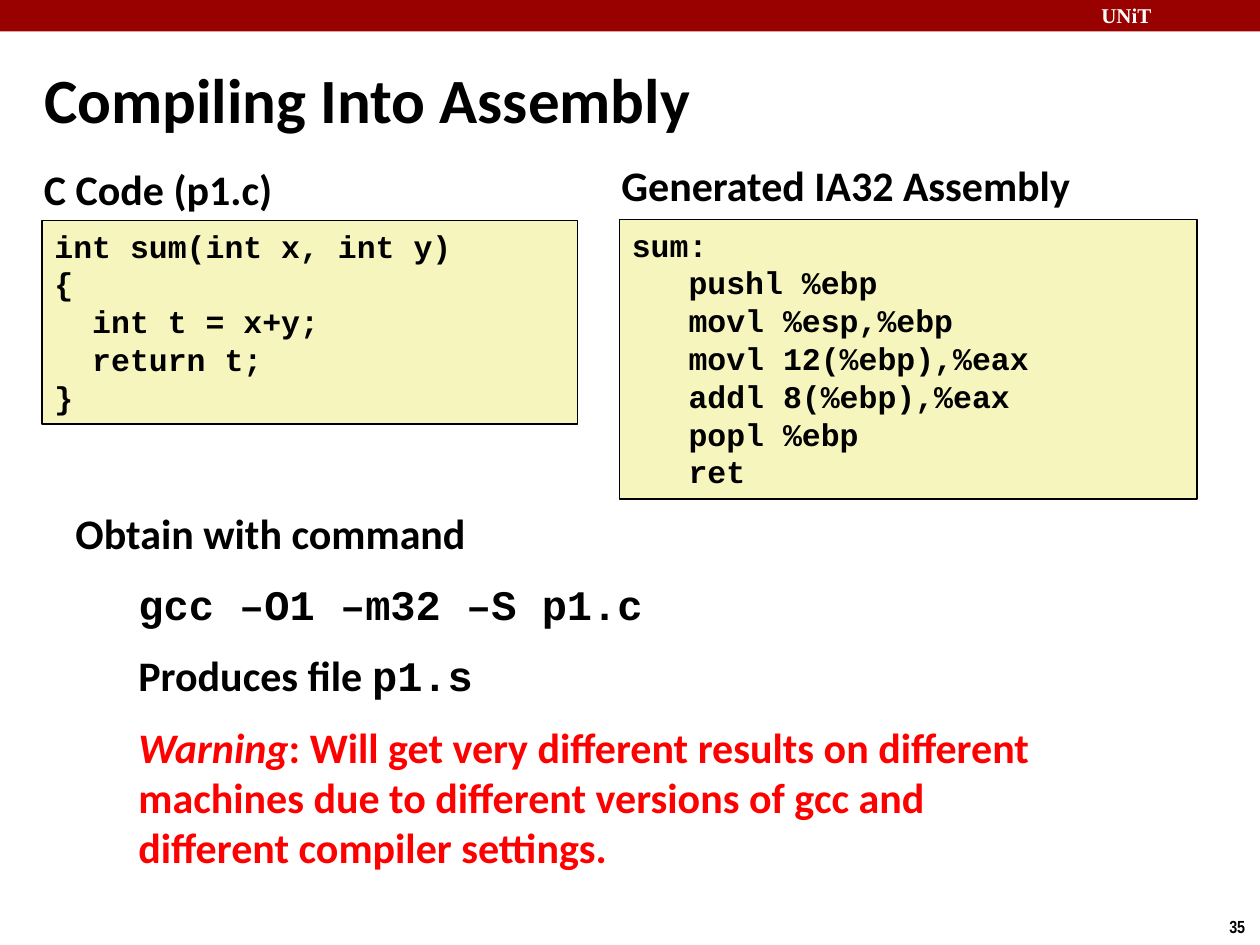
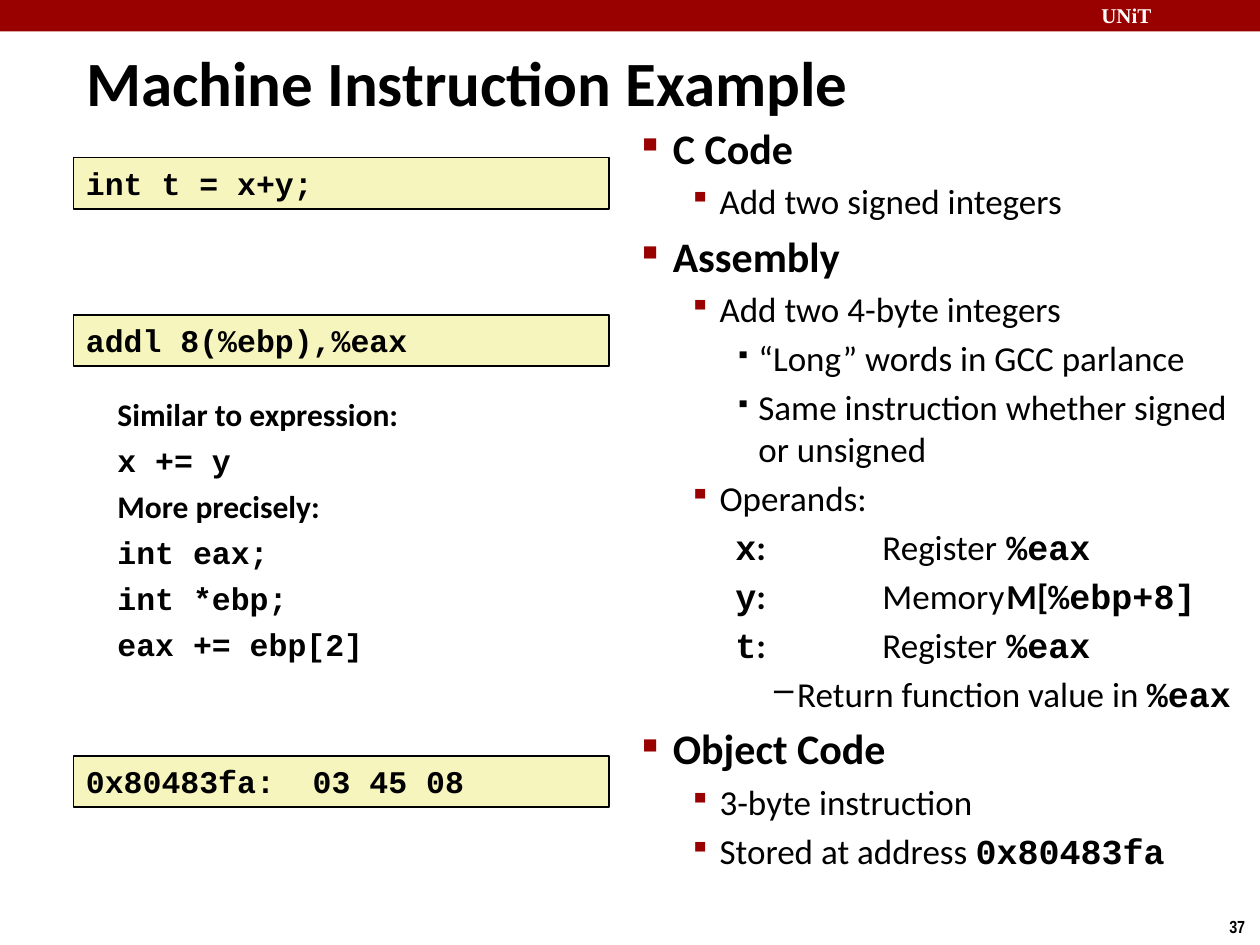
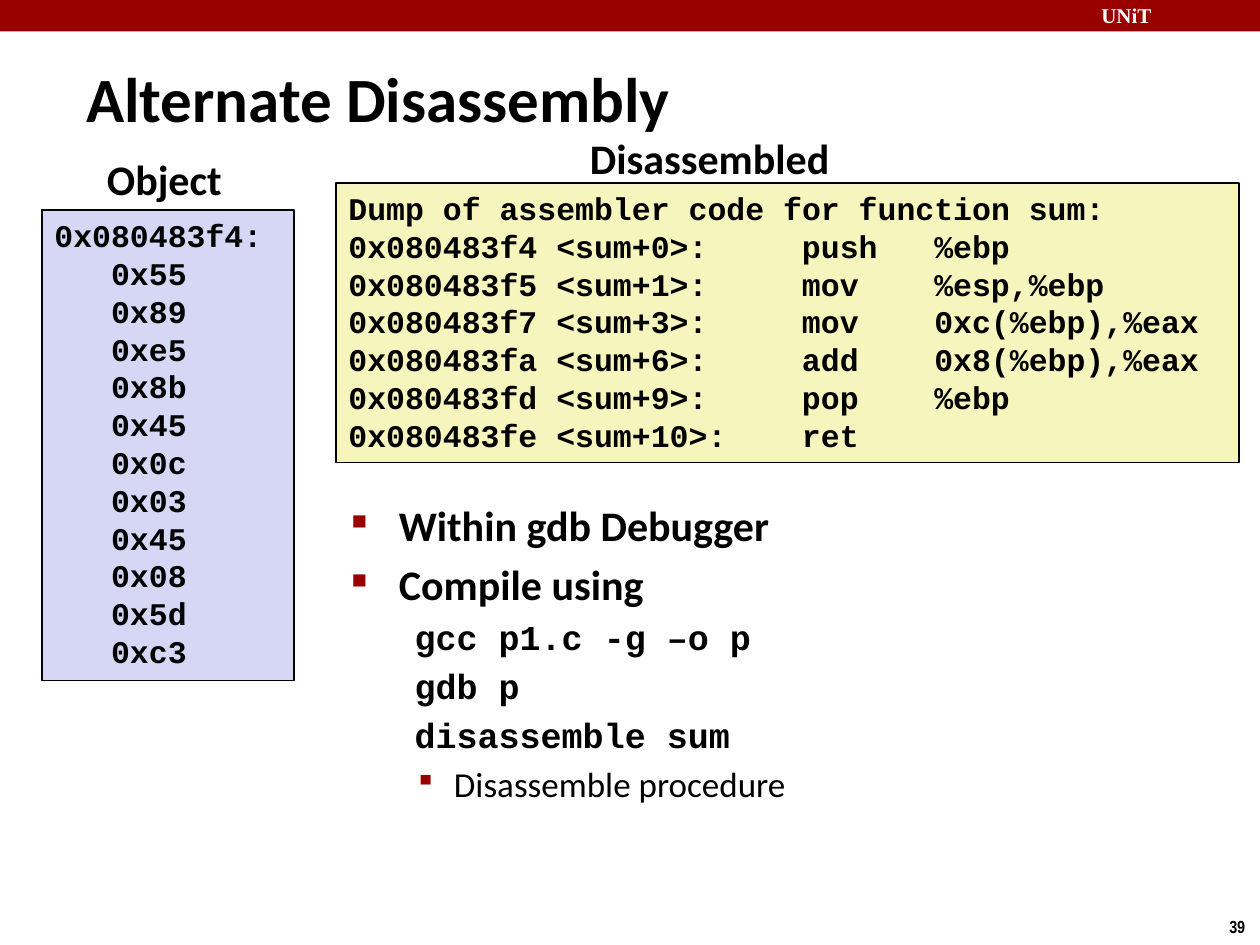
from lxml import etree
from pptx import Presentation
from pptx import util as u
from pptx.dml.color import RGBColor
from pptx.enum import shapes, text
from pptx.oxml import ns

COLORS = {"band": "990000", "ink": "000000", "paper": "FFFFFF", "warning": "FF0000",
          "code": "F6F5BD", "object": "D6D6F5"}
CELL = u.Inches(10) // 120
CHAR = 1.8
CALIBRI, COURIER = "Calibri", "Courier New"

BASE = {"name": CALIBRI, "size": 24, "bold": True, "color": "ink"}
PLAIN = {"bold": False}
BOLD = {"bold": True}
MONO = {"name": COURIER, "bold": True}
RED = {"color": "warning"}
CODE = {"font": {"size": 18, "name": COURIER}}

SQUARE = ("■", 50, "band")
SMALL = ("▪", 85, "band")
BLACK = ("▪", 60, "ink")
DASH = ("–", 100, "ink")

TOPIC = {"left": 2.9, "hang": 2.9, "bullet": SQUARE, "before": 0.2}
WIDE_TOPIC = {**TOPIC, "left": 4.5, "hang": 4.5}
POINT = {"font": {"size": 20, **PLAIN}, "left": 7.35, "hang": 2.9, "bullet": SMALL, "before": 0.2}
DETAIL = {**POINT, "left": 11.05, "hang": 2.2, "bullet": BLACK}
OPERAND = {**DETAIL, "bullet": None}
RESULT = {**DETAIL, "left": 14.75, "bullet": DASH}
STEP = {**POINT, "left": 9.75, "hang": 3.75}
COMMAND = {"font": {"size": 20, **MONO}, "left": 6, "before": 0.2}
LEAD = {"before": 0.5}
NESTED = {"before": 0.5, "left": 6}
SIMILAR = {"font": {"size": 18}, "before": 0.5}
TIGHT = {**SIMILAR, "spacing": 0.8}
TIGHT_CODE = {**TIGHT, "font": {"size": 18, **MONO}}


def grid(*cells):
    """Turn grid cells into lengths."""
    return [u.Emu(round(c * CELL)) for c in cells]


def rgb(key):
    """Look up a named colour."""
    return RGBColor.from_string(COLORS[key])


def set_font(font, values):
    """Apply a dict of format values to a font."""
    for key, value in values.items():
        if key == "color":
            font.color.rgb = rgb(value)
        else:
            setattr(font, key, u.Pt(value) if key == "size" else value)


def add_child(parent, tag, **attrs):
    """Append a drawing element with its attributes."""
    return etree.SubElement(parent, ns.qn("a:" + tag), {k: str(v) for k, v in attrs.items()})


def format_paragraph(p, style, size):
    """Set spacing, then either tab stops or indents and bullet."""
    p.alignment = text.PP_ALIGN.LEFT
    p.line_spacing = style.get("spacing", 1.0)
    p.space_before = u.Pt(round(style.get("before", 0) * size, 1))
    pPr = p._p.get_or_add_pPr()
    if style.get("stops"):
        tabs = add_child(pPr, "tabLst")
        for stop in grid(*(n * CHAR for n in style["stops"])):
            add_child(tabs, "tab", pos=int(stop), algn="l")
        return
    left, hang = grid(style.get("left", 0), -style.get("hang", 0))
    for key, value in {"marL": left, "indent": hang, "defTabSz": u.Cm(2.5)}.items():
        pPr.set(key, str(int(value)))
    if style.get("bullet"):
        char, percent, color = style["bullet"]
        add_child(add_child(pPr, "buClr"), "srgbClr", val=COLORS[color])
        add_child(pPr, "buSzPct", val=percent * 1000)
        add_child(pPr, "buChar", char=char)
    else:
        add_child(pPr, "buNone")


def write(tf, paragraphs):
    """Fill a frame with (style, runs) paragraphs; a run is text or (text, format)."""
    for i, (style, *runs) in enumerate(paragraphs):
        p = tf.add_paragraph() if i else tf.paragraphs[0]
        font = {**BASE, **style.get("font", {})}
        format_paragraph(p, style, font["size"])
        for run in runs:
            content, extra = (run, {}) if isinstance(run, str) else run
            r = p.add_run()
            r.text = content
            set_font(r.font, {**font, **extra})


def add_text(s, box, paragraphs, wrap=True):
    """Add a text box on the grid."""
    tf = s.shapes.add_textbox(*grid(*box)).text_frame
    tf.word_wrap = wrap
    write(tf, paragraphs)
    return tf


def add_rect(s, box, fill):
    """Add a plain filled rectangle."""
    sp = s.shapes.add_shape(shapes.MSO_SHAPE.RECTANGLE, *grid(*box))
    sp.shadow.inherit = False
    sp.fill.solid()
    sp.fill.fore_color.rgb = rgb(fill)
    sp.line.fill.background()
    return sp


def code_line(line, indent, stops):
    """Style a code line: a leading tab indents it, inner tabs use the stops."""
    if line.startswith("\t"):
        return {**CODE, "left": indent * CHAR}, line.lstrip("\t")
    return {**CODE, "stops": stops if "\t" in line else ()}, line


def add_listing(s, box, lines, indent=3, stops=(), fill="code", caption=None):
    """Add a framed code listing as high as its lines, with an optional caption."""
    x, y, w = box
    sp = add_rect(s, (x, y, w, 1.25 + 3.63 * len(lines)), fill)
    sp.line.color.rgb = rgb("ink")
    sp.line.width = u.Pt(1)
    tf = sp.text_frame
    tf.word_wrap = True
    tf.vertical_anchor = text.MSO_ANCHOR.TOP
    write(tf, [code_line(line, indent, stops) for line in lines])
    if caption:
        label, dx, dy, width = caption
        add_text(s, (x + dx, y - dy, width, 5.4), [({}, label)])


def new_slide(prs, title, box, number):
    """Add a titled slide with the shared band and page number."""
    s = prs.slides.add_slide(prs.slide_layouts[5])
    add_rect(s, (0, 0, 120, 3), "band")
    tf = add_text(s, (103.7, 0, 16, 3), [
        ({"font": {"name": "Times New Roman", "size": 12, "color": "paper"}}, "UNiT")])
    tf.margin_top = u.Inches(0.02)
    add_text(s, (115.9, 86.65, 4.1, 3.2), [
        ({"font": {"name": "Arial Narrow", "size": 10}}, str(number))], wrap=False)
    sp = s.shapes.title
    sp.left, sp.top, sp.width, sp.height = grid(*box)
    tf = sp.text_frame
    tf.auto_size = text.MSO_AUTO_SIZE.NONE
    tf.vertical_anchor = text.MSO_ANCHOR.MIDDLE
    write(tf, [({"font": {"size": 36}}, title)])
    return s


def compiling_slide(prs):
    """Show C code beside its assembly and the command."""
    s = new_slide(prs, "Compiling Into Assembly", (3, 5.7, 90, 7.3), 35)
    add_listing(s, (4, 21, 51), [
        "int sum(int x, int y)", "{", "\tint t = x+y;", "\treturn t;", "}",
    ], indent=2, caption=("C Code (p1.c)", -1, 6, 32))
    add_listing(s, (59, 20.9, 55), [
        "sum:", "\tpushl %ebp", "\tmovl %esp,%ebp", "\tmovl 12(%ebp),%eax",
        "\taddl 8(%ebp),%eax", "\tpopl %ebp", "\tret",
    ], caption=("Generated IA32 Assembly", -1, 6.3, 54))
    add_text(s, (6, 47.7, 98, 41), [
        (LEAD, "Obtain with command"),
        (NESTED, ("gcc –O1 –m32 –S p1.c", MONO)),
        (NESTED, "Produces file ", ("p1.s", MONO)),
        (NESTED, ("Warning", {**RED, "italic": True}),
         (": Will get very different results on different machines due to "
          "different versions of gcc and different compiler settings.", RED)),
    ])


def operand(name, place, *value):
    """Describe one operand as a tabbed paragraph."""
    return (OPERAND, (name, MONO), (":", BOLD), f"\t{place}\t", *value)


def instruction_slide(prs):
    """Follow one instruction from C to object code."""
    s = new_slide(prs, "Machine Instruction Example", (7, 4, 95, 7.5), 37)
    eax = ("%eax", MONO)
    add_text(s, (60, 11.05, 60, 76), [
        (TOPIC, "C Code"),
        (POINT, "Add two signed integers"),
        (TOPIC, "Assembly"),
        (POINT, "Add two 4-byte integers"),
        (DETAIL, "“Long” words in GCC parlance"),
        (DETAIL, "Same instruction whether signed or unsigned"),
        (POINT, "Operands:"),
        operand("x", "Register", eax),
        operand("y", "Memory", ("M[", BOLD), ("%ebp+8]", MONO)),
        operand("t", "Register", eax),
        (RESULT, "Return function value in ", eax),
        (TOPIC, "Object Code"),
        (POINT, "3-byte instruction"),
        (POINT, "Stored at address ", ("0x80483fa", MONO)),
    ])
    for row, line in ((15, "int t = x+y;"), (30, "addl 8(%ebp),%eax"),
                      (72, "0x80483fa:\t03 45 08")):
        add_listing(s, (7, row, 51), [line], stops=(12,))
    add_text(s, (10, 37, 45, 28.4), [
        (SIMILAR, "Similar to expression:"),
        (TIGHT_CODE, "x += y"),
        (TIGHT, "More precisely:"),
        *((TIGHT_CODE, line) for line in ("int eax;", "int *ebp;", "eax += ebp[2]")),
    ])


def disassembly_slide(prs):
    """Show object bytes beside the debugger's dump."""
    s = new_slide(prs, "Alternate Disassembly", (7, 5.5, 82, 7.5), 39)
    add_listing(s, (32, 17.4, 86), [
        "Dump of assembler code for function sum:",
        "0x080483f4 <sum+0>:\tpush\t%ebp",
        "0x080483f5 <sum+1>:\tmov\t%esp,%ebp",
        "0x080483f7 <sum+3>:\tmov\t0xc(%ebp),%eax",
        "0x080483fa <sum+6>:\tadd\t0x8(%ebp),%eax",
        "0x080483fd <sum+9>:\tpop\t%ebp",
        "0x080483fe <sum+10>:\tret",
    ], stops=(24, 31), caption=("Disassembled", 23, 5.4, 34))
    code = "55 89 e5 8b 45 0c 03 45 08 5d c3".split()
    add_listing(s, (4, 20, 24), ["0x080483f4:", *(f"\t0x{byte}" for byte in code)],
                fill="object", caption=("Object", 5, 6, 17))
    add_text(s, (32.3, 47, 82.7, 38), [
        (WIDE_TOPIC, "Within gdb Debugger"),
        (WIDE_TOPIC, "Compile using"),
        *((COMMAND, line) for line in ("gcc p1.c -g –o p", "gdb p", "disassemble sum")),
        (STEP, "Disassemble procedure"),
    ])


def main():
    """Build and save the slides."""
    prs = Presentation()
    prs.slide_width, prs.slide_height = grid(120, 90)
    for build in (compiling_slide, instruction_slide, disassembly_slide):
        build(prs)
    prs.save("out.pptx")


if __name__ == "__main__":
    main()
